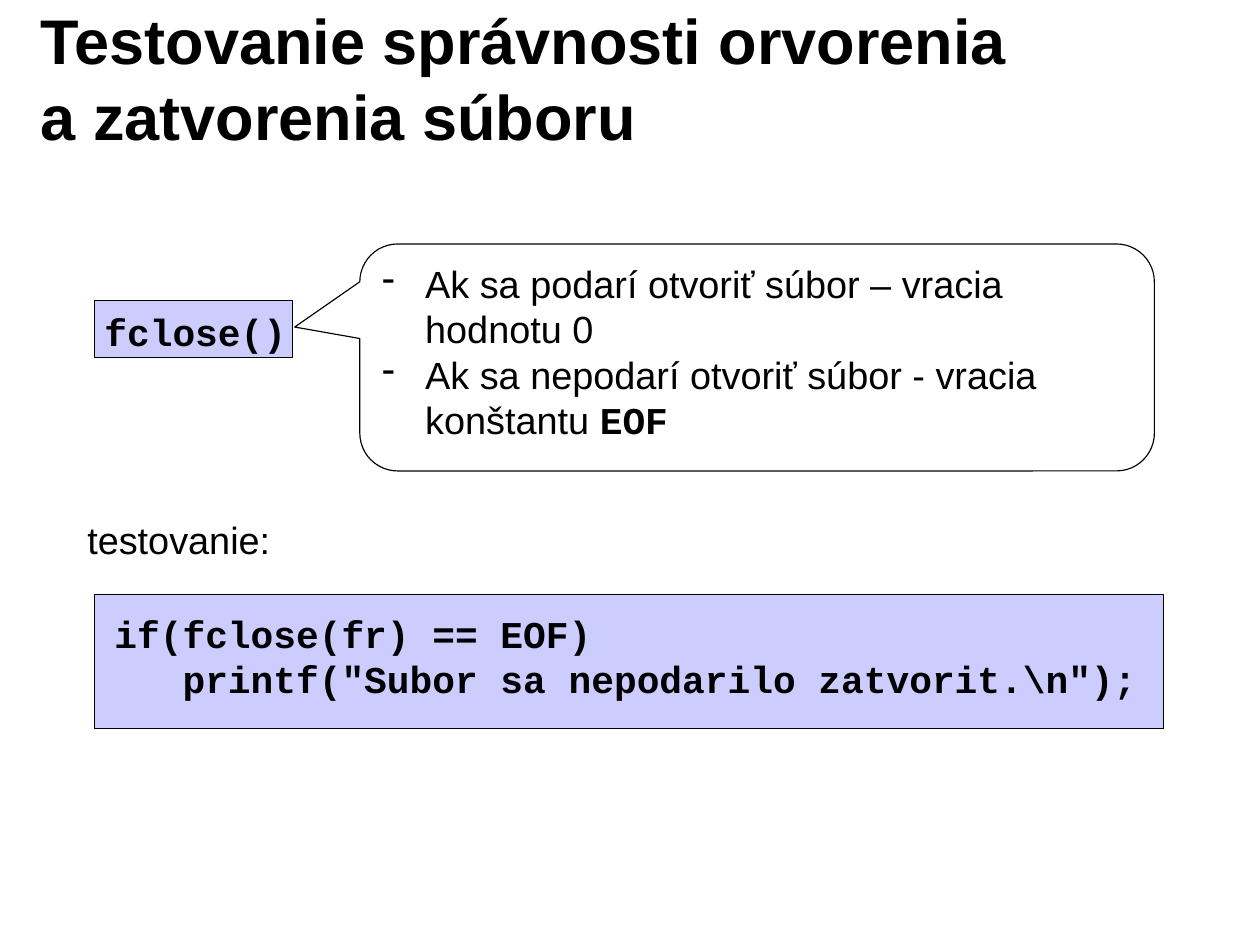
"""Build the slide on checking the result of fclose()."""
from dataclasses import dataclass

from lxml import etree
from pptx import Presentation
from pptx.dml.color import RGBColor
from pptx.enum.shapes import MSO_SHAPE
from pptx.enum.text import MSO_ANCHOR, MSO_AUTO_SIZE, PP_ALIGN
from pptx.oxml.ns import qn
from pptx.util import Inches, Pt

RECT, CALLOUT = MSO_SHAPE.RECTANGLE, MSO_SHAPE.ROUNDED_RECTANGULAR_CALLOUT
TOP, MIDDLE = MSO_ANCHOR.TOP, MSO_ANCHOR.MIDDLE
LEFT, CENTER = PP_ALIGN.LEFT, PP_ALIGN.CENTER
NO_FIT = MSO_AUTO_SIZE.NONE


@dataclass(frozen=True)
class Theme:
    """Colours, fonts and sizes of the slide."""
    ink: RGBColor = RGBColor(0x00, 0x00, 0x00)
    code_fill: RGBColor = RGBColor(0xCC, 0xCC, 0xFF)
    sans: str = "Arial"
    mono: str = "Courier New"
    title_size: int = 40
    body_size: int = 24
    leading: float = 1.2
    line_width: float = 0.75
    indent: float = 0.38


THEME = Theme()
SLIDE_SIZE = (11.1, 8.3)

TITLE = "Testovanie správnosti orvorenia a zatvorenia súboru"
FUNCTION = ["fclose()"]
RESULTS = [
    "Ak sa podarí otvoriť súbor – vracia hodnotu 0",
    ("Ak sa nepodarí otvoriť súbor - vracia konštantu ", "EOF"),
]
TEST_LABEL = ["testovanie:"]
TEST_CODE = [
    "if(fclose(fr) == EOF)",
    '   printf("Subor sa nepodarilo zatvorit.\\n");',
]

TITLE_BOX = (0.25, 0.17, 8.92, 1.02)
FUNCTION_RECT = (0.83, 2.65, 1.75, 0.5)
FUNCTION_BOX = (0.82, 2.67, 1.8, 0.5)
RESULTS_BOX = (3.17, 2.15, 7, 2)
RESULTS_POINTER = (-0.582, -0.134, 0.167)
LABEL_BOX = (0.67, 4.5, 1.81, 0.5)
CODE_RECT = (0.83, 5.24, 9.42, 1.18)
CODE_BOX = (0.91, 5.33, 9.2, 0.9)


def add_bullet(p, char):
    """Give a paragraph a hanging bullet."""
    pPr = p._p.get_or_add_pPr()
    pPr.set("marL", str(Inches(THEME.indent)))
    pPr.set("indent", str(-Inches(THEME.indent)))
    etree.SubElement(pPr, qn("a:buChar")).set("char", char)


def write(tf, paragraphs, size=THEME.body_size, code=False, bold=False,
          align=LEFT, anchor=TOP, wrap=False, bullet=None, insets=(0.1, 0.05)):
    """Write paragraphs; the second part of a tuple is set as code."""
    tf.auto_size, tf.word_wrap, tf.vertical_anchor = NO_FIT, wrap, anchor
    tf.margin_left = tf.margin_right = Inches(insets[0])
    tf.margin_top = tf.margin_bottom = Inches(insets[1])
    for i, parts in enumerate(paragraphs):
        p = tf.add_paragraph() if i else tf.paragraphs[0]
        p.alignment = align
        p.space_before = p.space_after = Pt(0)
        p.line_spacing = Pt(size * THEME.leading)
        if bullet:
            add_bullet(p, bullet)
        for j, text in enumerate([parts] if isinstance(parts, str) else parts):
            r = p.add_run()
            r.text = text
            mono = code or j > 0
            r.font.name = THEME.mono if mono else THEME.sans
            r.font.size = Pt(size)
            r.font.bold = bold or mono
            r.font.color.rgb = THEME.ink


def add_outlined(s, kind, box, fill=None):
    """Add a thinly outlined shape, filled or open."""
    sp = s.shapes.add_shape(kind, *map(Inches, box))
    sp.shadow.inherit = False
    sp.line.color.rgb = THEME.ink
    sp.line.width = Pt(THEME.line_width)
    if fill is None:
        sp.fill.background()
    else:
        sp.fill.solid()
        sp.fill.fore_color.rgb = fill
    return sp


def add_text(s, box, paragraphs, **style):
    """Add a text box."""
    write(s.shapes.add_textbox(*map(Inches, box)).text_frame, paragraphs, **style)


def main():
    """Build and save the slide."""
    prs = Presentation()
    prs.slide_width, prs.slide_height = map(Inches, SLIDE_SIZE)
    s = prs.slides.add_slide(prs.slide_layouts[5])

    title = s.shapes.title
    title.left, title.top, title.width, title.height = map(Inches, TITLE_BOX)
    write(title.text_frame, [TITLE], size=THEME.title_size, bold=True,
          anchor=MIDDLE, wrap=True, insets=(0.11, 0.06))

    add_outlined(s, RECT, FUNCTION_RECT, THEME.code_fill)
    add_text(s, FUNCTION_BOX, FUNCTION, code=True, align=CENTER)

    callout = add_outlined(s, CALLOUT, RESULTS_BOX)
    for i, value in enumerate(RESULTS_POINTER):
        callout.adjustments[i] = value
    write(callout.text_frame, RESULTS, wrap=True, bullet="-")

    add_text(s, LABEL_BOX, TEST_LABEL, align=CENTER)
    add_outlined(s, RECT, CODE_RECT, THEME.code_fill)
    add_text(s, CODE_BOX, TEST_CODE, code=True)

    prs.save("out.pptx")


if __name__ == "__main__":
    main()
